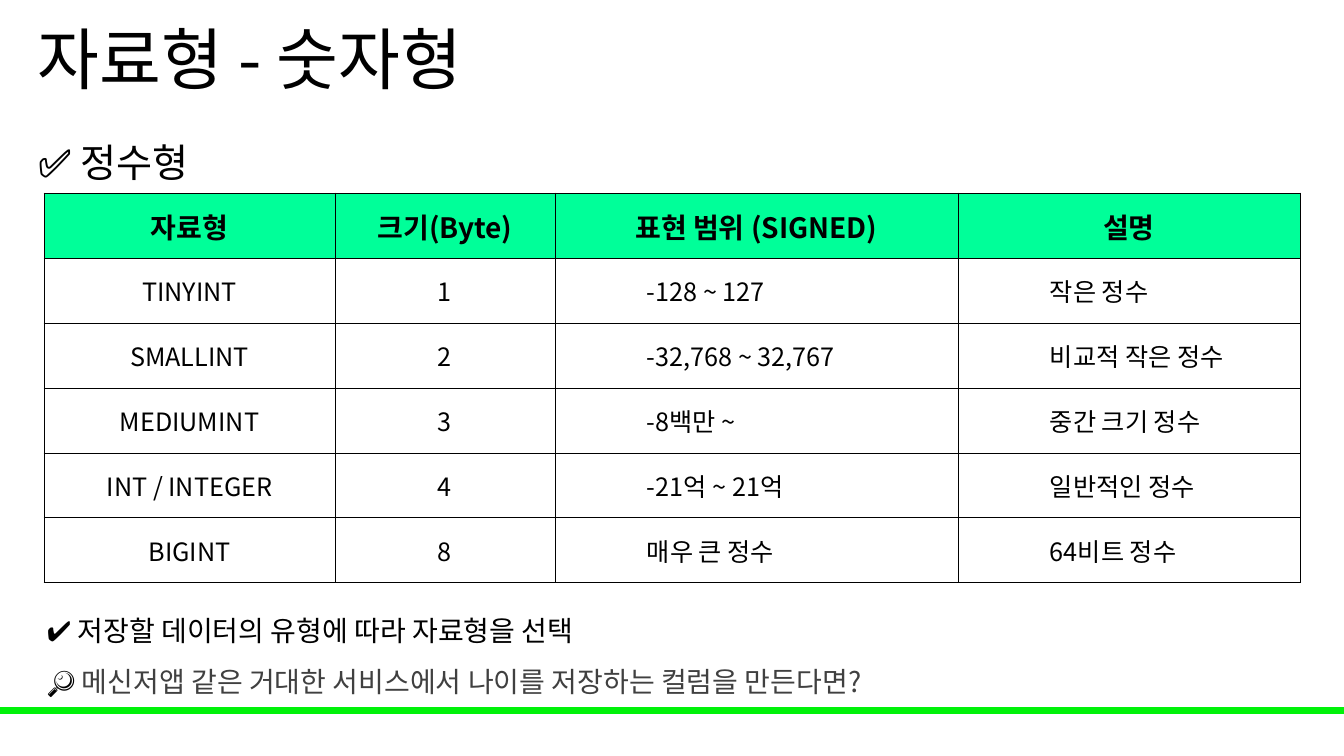
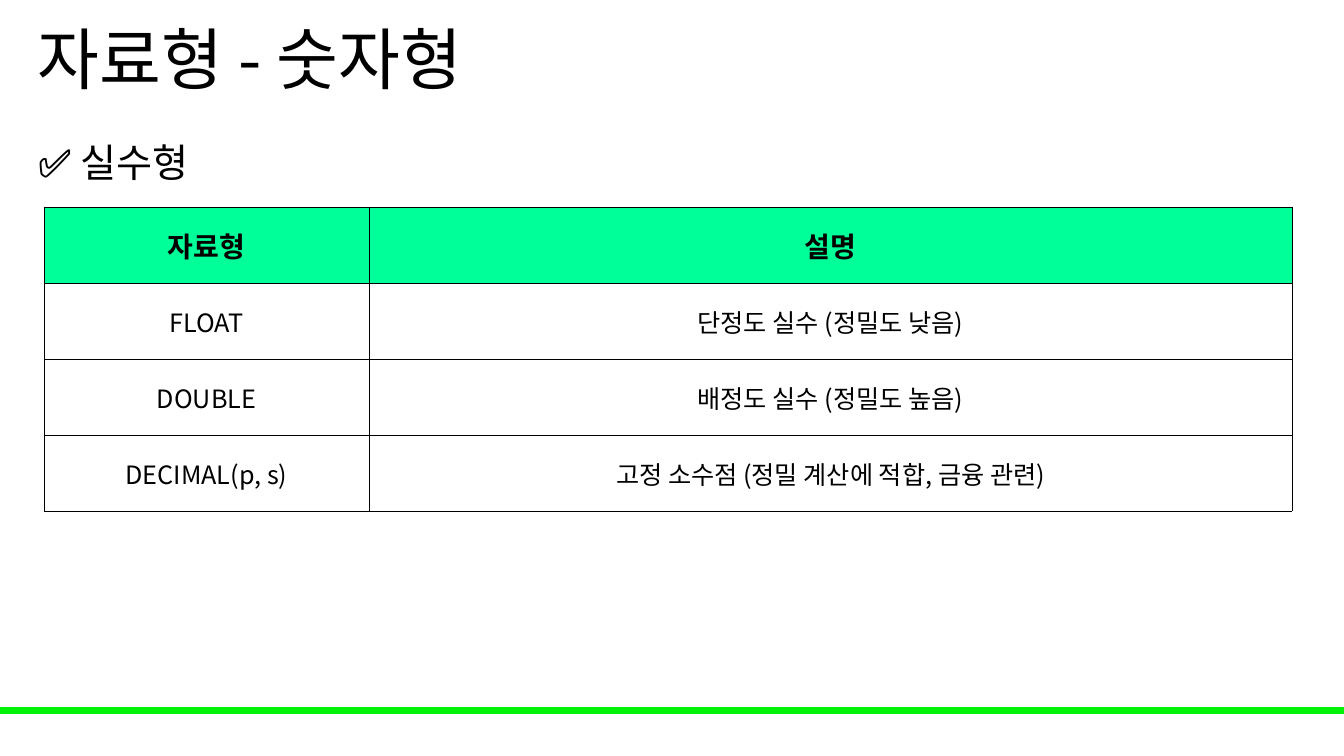
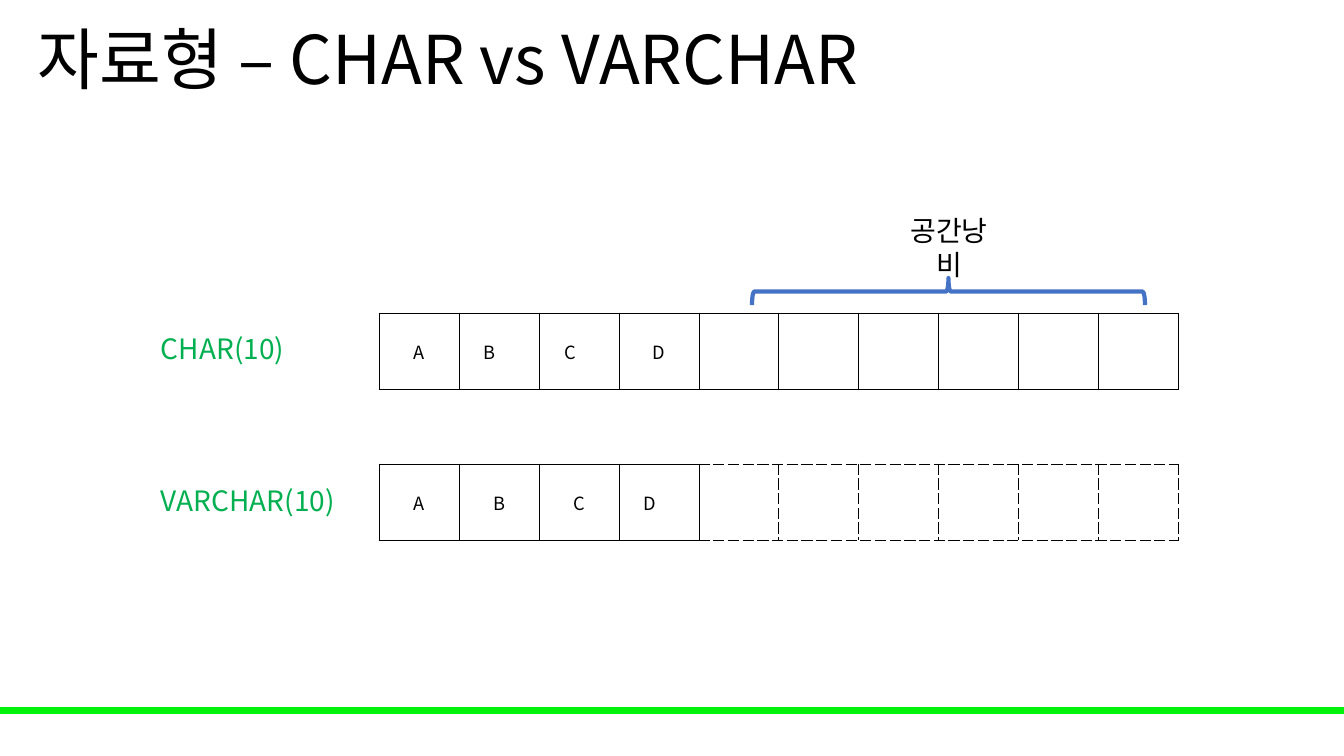
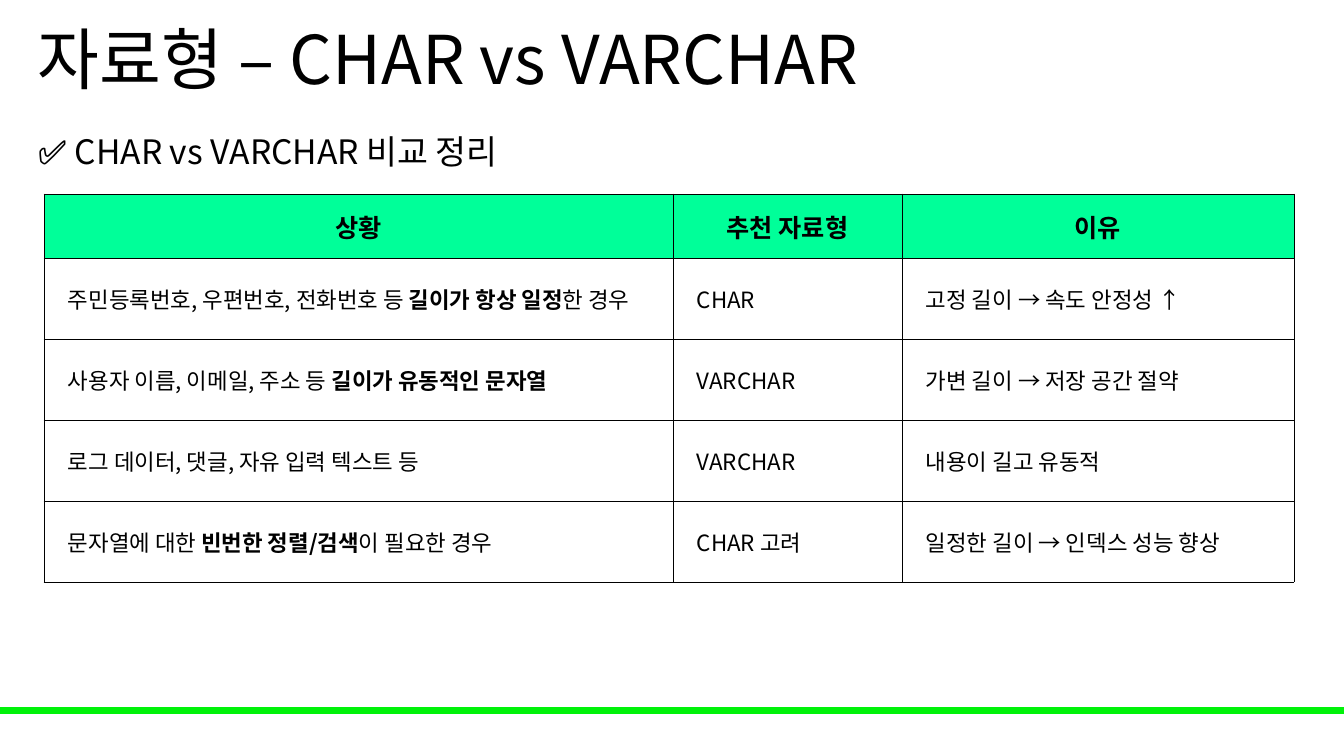
from dataclasses import dataclass
from typing import NamedTuple, Optional, Sequence, Union

from lxml import etree
from pptx import Presentation, util as u
from pptx.dml.color import RGBColor
from pptx.enum import shapes, text
from pptx.oxml.ns import qn


@dataclass(frozen=True)
class Theme:
    font: str = "Noto Sans CJK KR"
    ink: str = "000000"
    muted: str = "404040"
    label: str = "00B050"
    band: str = "00F209"
    header: str = "00FF99"
    brace: str = "4472C4"
    title_pt: int = 48
    heading_pt: int = 28
    subheading_pt: int = 24
    body_pt: int = 20
    letter_pt: int = 13
    border_pt: float = 0.5


class Run(NamedTuple):
    text: str
    bold: Optional[bool] = None
    color: Optional[str] = None


class Box(NamedTuple):
    x: int
    y: int
    w: int
    h: int


Content = Union[str, Sequence[Run]]


@dataclass(frozen=True)
class Style:
    size: int
    color: str = Theme.ink
    bold: bool = False
    centered: bool = False
    spacing: Optional[float] = None


@dataclass(frozen=True)
class Grid:
    """A bordered table; an indent of 0 centres its column."""
    x: int
    y: int
    cols: Sequence[int]
    row_heights: Sequence[int]
    indents: Sequence[int]
    header_pt: int
    body_pt: int
    rows: Sequence[Sequence[Content]]


THEME = Theme()
EMU_PER_PX = 914400 / 100.8
SLIDE_W, SLIDE_H = 1344, 756
MARGIN, TABLE_X = 28, 44
SOLID, DASH, NO_LINE = "solid", "dash", ""
LETTERS = 4


def px(n: int) -> u.Emu:
    return u.Emu(round(n * EMU_PER_PX))


def rgb(value: str) -> RGBColor:
    return RGBColor.from_string(value)


def write(p, content: Content, style: Style) -> None:
    runs = [Run(content)] if isinstance(content, str) else content
    for run in runs:
        r = p.add_run()
        r.text = run.text
        if run.bold is not None:
            r.font.bold = run.bold
        if run.color:
            r.font.color.rgb = rgb(run.color)
    p.alignment = text.PP_ALIGN.CENTER if style.centered else text.PP_ALIGN.LEFT
    if style.spacing:
        p.line_spacing = style.spacing
    f = p.font
    f.name, f.size, f.bold = THEME.font, u.Pt(style.size), style.bold
    f.color.rgb = rgb(style.color)
    east_asian = etree.SubElement(p._p.pPr.find(qn("a:defRPr")), qn("a:ea"))
    east_asian.set("typeface", THEME.font)


def add_text(s, box: Box, style: Style, *paragraphs: Content,
             anchor=text.MSO_ANCHOR.TOP) -> None:
    tf = s.shapes.add_textbox(*map(px, box)).text_frame
    tf.word_wrap = True
    tf.vertical_anchor = anchor
    for i, content in enumerate(paragraphs):
        write(tf.add_paragraph() if i else tf.paragraphs[0], content, style)


def new_slide(prs, title: str):
    """Add a slide with the shared green band and title."""
    s = prs.slides.add_slide(prs.slide_layouts[6])
    band = s.shapes.add_shape(shapes.MSO_SHAPE.RECTANGLE,
                              *map(px, Box(0, 708, SLIDE_W, 5)))
    band.shadow.inherit = False
    band.fill.solid()
    band.fill.fore_color.rgb = band.line.color.rgb = rgb(THEME.band)
    band.line.width = u.Pt(1)
    add_text(s, Box(MARGIN, 0, 1159, 126), Style(THEME.title_pt, spacing=0.9),
             title, anchor=text.MSO_ANCHOR.MIDDLE)
    return s


def add_heading(s, heading: str) -> None:
    add_text(s, Box(MARGIN, 110, 1290, 97),
             Style(THEME.heading_pt, spacing=1.5), heading)


def set_borders(cell, left: str = SOLID, right: str = SOLID,
                top: str = SOLID, bottom: str = SOLID) -> None:
    """Draw the four sides; call before filling, as the schema orders them so."""
    tc_pr = cell._tc.get_or_add_tcPr()
    for side, dash in zip("LRTB", (left, right, top, bottom)):
        ln = etree.SubElement(tc_pr, qn(f"a:ln{side}"), w=str(u.Pt(THEME.border_pt)))
        if dash == NO_LINE:
            etree.SubElement(ln, qn("a:noFill"))
            continue
        fill = etree.SubElement(ln, qn("a:solidFill"))
        etree.SubElement(fill, qn("a:srgbClr"), val=THEME.ink)
        etree.SubElement(ln, qn("a:prstDash"), val=dash)


def fill_cell(cell, content: Content, style: Style, indent: int = 1) -> None:
    cell.margin_left, cell.margin_right = px(indent), px(1)
    cell.margin_top, cell.margin_bottom = px(1), 0
    cell.vertical_anchor = text.MSO_ANCHOR.MIDDLE
    write(cell.text_frame.paragraphs[0], content, style)


def new_table(s, x: int, y: int, cols: Sequence[int], heights: Sequence[int]):
    box = Box(x, y, sum(cols), sum(heights))
    table = s.shapes.add_table(len(heights), len(cols), *map(px, box)).table
    table.first_row = table.horz_banding = False
    for column, width in zip(table.columns, cols):
        column.width = px(width)
    for row, height in zip(table.rows, heights):
        row.height = px(height)
    return table


def add_grid(s, grid: Grid) -> None:
    table = new_table(s, grid.x, grid.y, grid.cols, grid.row_heights)
    for i, row in enumerate(grid.rows):
        is_header = i == 0
        for j, content in enumerate(row):
            cell = table.cell(i, j)
            indent = 0 if is_header else grid.indents[j]
            set_borders(cell)
            if is_header:
                cell.fill.solid()
                cell.fill.fore_color.rgb = rgb(THEME.header)
            else:
                cell.fill.background()
            size = grid.header_pt if is_header else grid.body_pt
            fill_cell(cell, content,
                      Style(size, bold=is_header, centered=not indent), indent or 1)


def add_storage_table(s) -> None:
    """Ten slots for CHAR, a gap row, and ten for VARCHAR with unused ones dashed."""
    table = new_table(s, 379, 313, [80] * 10, (76, 75, 76))
    letters = {0: ("A", "B　", "C　", "D"), 2: ("A", "B", "C", "D　")}
    for i in range(3):
        for j in range(10):
            cell = table.cell(i, j)
            unused = DASH if j >= LETTERS else SOLID
            if i == 0:
                set_borders(cell)
            elif i == 1:
                set_borders(cell, NO_LINE, NO_LINE, SOLID, unused)
            else:
                set_borders(cell, DASH if j > LETTERS else SOLID,
                            unused, unused, unused)
            cell.fill.background()
            if i in letters and j < LETTERS:
                fill_cell(cell, letters[i][j], Style(THEME.letter_pt, centered=True))


def add_brace(s) -> None:
    sp = s.shapes.add_shape(shapes.MSO_SHAPE.RIGHT_BRACE,
                            *map(px, Box(935, 95, 27, 393)))
    sp.rotation = 270
    sp.shadow.inherit = False
    sp.fill.background()
    sp.line.color.rgb = rgb(THEME.brace)
    sp.line.width = u.Pt(3)


INTEGERS = Grid(TABLE_X, 193, (291, 220, 403, 342), [65] * 6, (0, 0, 92, 92), 20, 18, (
    ("자료형", "크기(Byte)", "표현 범위 (SIGNED)", "설명"),
    ("TINYINT", "1", "-128 ~ 127", "작은 정수"),
    ("SMALLINT", "2", "-32,768 ~ 32,767", "비교적 작은 정수"),
    ("MEDIUMINT", "3", "-8백만 ~", "중간 크기 정수"),
    ("INT / INTEGER", "4", "-21억 ~ 21억", "일반적인 정수"),
    ("BIGINT", "8", "매우 큰 정수", "64비트 정수"),
))

REALS = Grid(TABLE_X, 207, (325, 923), [76] * 4, (0, 0), 20, 18, (
    ("자료형", "설명"),
    ("FLOAT", "단정도 실수 (정밀도 낮음)"),
    ("DOUBLE", "배정도 실수 (정밀도 높음)"),
    ("DECIMAL(p, s)", "고정 소수점 (정밀 계산에 적합, 금융 관련)"),
))

COMPARISON = Grid(TABLE_X, 194, (629, 229, 392), [64] + [81] * 4, (24, 24, 24), 18, 16, (
    ("상황", "추천 자료형", "이유"),
    ((Run("주민등록번호, 우편번호, 전화번호 등 "), Run("길이가 항상 일정", bold=True),
      Run("한 경우")), "CHAR", "고정 길이 → 속도 안정성 ↑"),
    ((Run("사용자 이름, 이메일, 주소 등 "), Run("길이가 유동적인 문자열", bold=True)),
     "VARCHAR", "가변 길이 → 저장 공간 절약"),
    ("로그 데이터, 댓글, 자유 입력 텍스트 등", "VARCHAR", "내용이 길고 유동적"),
    ((Run("문자열에 대한 "), Run("빈번한 정렬/검색", bold=True), Run("이 필요한 경우")),
     "CHAR 고려", "일정한 길이 → 인덱스 성능 향상"),
))


def integer_slide(prs) -> None:
    s = new_slide(prs, "자료형 - 숫자형")
    add_heading(s, "✅ 정수형")
    add_grid(s, INTEGERS)
    add_text(s, Box(37, 592, 1147, 112), Style(THEME.body_pt, spacing=1.5),
             "✔️ 저장할 데이터의 유형에 따라 자료형을 선택",
             (Run("🔎 "), Run("메신저앱 같은 거대한 서비스에서 나이를 저장하는 컬럼을 만든다면?",
                             color=THEME.muted)))


def real_slide(prs) -> None:
    s = new_slide(prs, "자료형 - 숫자형")
    add_heading(s, "✅ 실수형")
    add_grid(s, REALS)


def storage_slide(prs) -> None:
    s = new_slide(prs, "자료형 – CHAR vs VARCHAR")
    add_storage_table(s)
    add_brace(s)
    add_text(s, Box(890, 209, 118, 44), Style(THEME.body_pt, centered=True), "공간낭비")
    for y, label in ((327, "CHAR(10)"), (479, "VARCHAR(10)")):
        add_text(s, Box(151, y, 228, 44), Style(THEME.body_pt, THEME.label), label)


def comparison_slide(prs) -> None:
    s = new_slide(prs, "자료형 – CHAR vs VARCHAR")
    add_text(s, Box(MARGIN, 126, 674, 50), Style(THEME.subheading_pt),
             "✅ CHAR vs VARCHAR 비교 정리")
    add_grid(s, COMPARISON)


def main() -> None:
    prs = Presentation()
    prs.slide_width, prs.slide_height = px(SLIDE_W), px(SLIDE_H)
    for build in (integer_slide, real_slide, storage_slide, comparison_slide):
        build(prs)
    prs.save("out.pptx")


if __name__ == "__main__":
    main()
